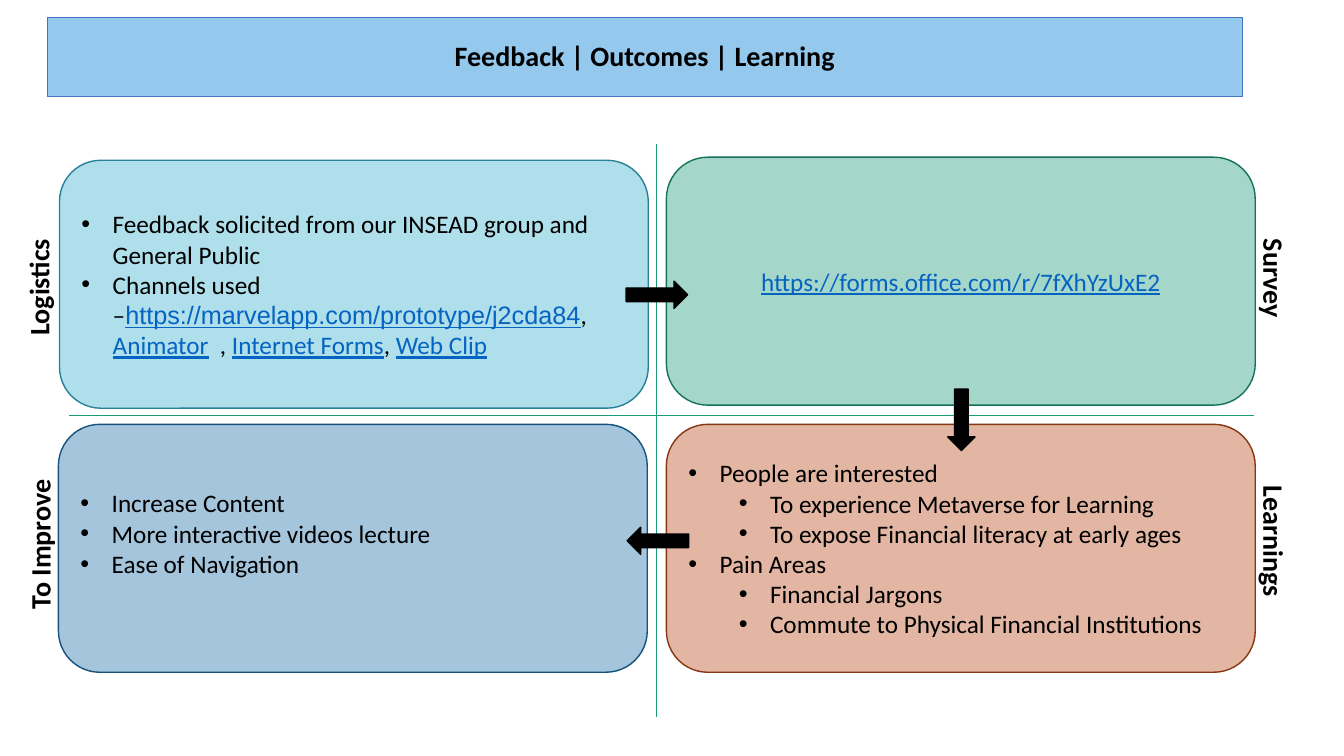
from pptx import Presentation
from pptx.dml.color import RGBColor as Rgb
from pptx.enum.dml import MSO_LINE
from pptx.enum.shapes import MSO_CONNECTOR as Conn, MSO_SHAPE as Shape
from pptx.enum.text import MSO_ANCHOR as Anchor, MSO_AUTO_SIZE as Auto, PP_ALIGN as Align
from pptx.oxml.ns import qn
from pptx.util import Inches, Pt
from lxml.etree import SubElement as Sub

HUES = {
    "ink": "000000", "link": "0563C1", "axis": "1D9A78",
    "bar": "94C8ED", "rim": "4472C4",
    "aqua": "36AFCE", "aqua rim": "288198",
    "green": "1D9A78", "green rim": "157259",
    "rust": "B74919", "rust rim": "873612",
    "blue": "1D6FA9", "blue rim": "15527D",
}
CELL = Inches(0.1)  # side of one grid column and row
WIDE, HIGH = 58.4, 24.6  # panel size in cells


class Board:
    font = "Calibri"
    body, head = 18, 20

    def __init__(self, deck):
        self.slide = deck.slides.add_slide(deck.slide_layouts[5])
        self.shapes = self.slide.shapes

    def grid(self, *cells):
        return [int(n * CELL) for n in cells]

    def hue(self, name):
        return Rgb.from_string(HUES[name])

    def paint(self, shape, fill, rim, width):
        shape.fill.solid()
        shape.fill.fore_color.rgb = self.hue(fill)
        shape.line.color.rgb = self.hue(rim)
        shape.line.width = Pt(width)
        shape.line.dash_style = MSO_LINE.SOLID

    def words(self, para, text, size, bold=False, link=False, face=None):
        run = para.add_run()
        run.text = text
        font = run.font
        font.name, font.size, font.bold = face or self.font, Pt(size), bold
        font.underline = link
        font.color.rgb = self.hue("link" if link else "ink")

    def bullet(self, para, level):
        para.level = level
        props = para._p.get_or_add_pPr()
        props.set("marL", str(Inches(0.31 + 0.5 * level)))
        props.set("indent", str(Inches(-0.31)))
        Sub(props, qn("a:buFont")).set("typeface", "Arial")
        Sub(props, qn("a:buChar")).set("char", "•")

    def title(self, text, *area):
        bar = self.shapes.title
        bar.left, bar.top, bar.width, bar.height = self.grid(*area)
        self.paint(bar, "bar", "rim", 0.75)
        frame = bar.text_frame
        frame.auto_size, frame.vertical_anchor = Auto.NONE, Anchor.MIDDLE
        para = frame.paragraphs[0]
        para.alignment, para.line_spacing = Align.CENTER, 0.9
        self.words(para, text, self.head, bold=True)

    def rule(self, *ends):
        line = self.shapes.add_connector(Conn.STRAIGHT, *self.grid(*ends))
        line.line.color.rgb = self.hue("axis")
        line.line.width = Pt(0.5)
        Sub(line.element.spPr, qn("a:effectLst"))

    def panel(self, left, top, tone, items, foot=0.05):
        box = self.shapes.add_shape(Shape.ROUNDED_RECTANGLE, *self.grid(left, top, WIDE, HIGH))
        box.shadow.inherit = False
        self.paint(box, tone, tone + " rim", 1)
        tint = box.element.spPr.find(qn("a:solidFill")).find(qn("a:srgbClr"))
        Sub(tint, qn("a:alpha")).set("val", "40000")
        frame = box.text_frame
        frame.word_wrap, frame.vertical_anchor = True, Anchor.MIDDLE
        frame.margin_bottom = Inches(foot)
        for i, (level, runs) in enumerate(items):
            para = frame.add_paragraph() if i else frame.paragraphs[0]
            if level is None:
                para.alignment = Align.CENTER
            else:
                para.alignment = Align.LEFT
                self.bullet(para, level)
            for text, *look in runs:
                self.words(para, text, self.body, False, *look)

    def arrow(self, left, top, turn):
        tip = self.shapes.add_shape(Shape.RIGHT_ARROW, *self.grid(left, top, 6.1, 2.7))
        tip.shadow.inherit = False
        tip.rotation = turn
        self.paint(tip, "ink", "ink", 1)

    def label(self, text, left, top, turn):
        box = self.shapes.add_textbox(*self.grid(left, top, 3, 18))
        box.rotation = turn
        frame = box.text_frame
        frame.word_wrap, frame.vertical_anchor = True, Anchor.MIDDLE
        frame._txBody.bodyPr.set("vert", "vert270")
        para = frame.paragraphs[0]
        para.alignment = Align.CENTER
        self.words(para, text, self.head, bold=True)


def plain(level, text):
    return level, [(text,)]


def main():
    deck = Presentation()
    deck.slide_width, deck.slide_height = Inches(13.33), Inches(7.5)
    board = Board(deck)

    # Title bar and cross
    board.title("Feedback | Outcomes | Learning", 4.7, 1.7, 118.5, 7.9)
    board.rule(65.1, 14.3, 65.1, 71.1)
    board.rule(124.4, 41.2, 6.8, 41.2)

    # Four panels
    board.panel(66.1, 15.6, "green", [
        (None, [("https://forms.office.com/r/7fXhYzUxE2", True)]),
    ])
    board.panel(66.1, 42.1, "rust", [
        plain(0, "People are interested"),
        plain(1, "To experience Metaverse for Learning"),
        plain(1, "To expose Financial literacy at early ages"),
        plain(0, "Pain Areas"),
        plain(1, "Financial Jargons"),
        plain(1, "Commute to Physical Financial Institutions"),
    ])
    board.panel(5.8, 42.1, "blue", [
        plain(0, "Increase Content"),
        plain(0, "More interactive videos lecture"),
        plain(0, "Ease of Navigation"),
    ], foot=0.35)
    board.panel(5.9, 15.9, "aqua", [
        plain(0, "Feedback solicited from our INSEAD group and General Public"),
        (0, [
            ("Channels used –",),
            ("https://marvelapp.com/prototype/j2cda84", True, "Arial"),
            (", ",),
            ("Animator", True),
            ("  , ",),
            ("Internet Forms", True),
            (", ",),
            ("Web Clip", True),
        ]),
    ])

    # Arrows from panel to panel
    for spot in ((62.1, 27.9, 0), (92.3, 40.3, 90), (62.2, 52.3, 180)):
        board.arrow(*spot)

    # Side labels
    board.label("Logistics", 2.3, 19.5, 0)
    board.label("To Improve", 2.4, 45, 0)
    board.label("Survey", 124.9, 18.6, 180)
    board.label("Learnings", 124.9, 44.7, 180)

    deck.save("out.pptx")


if __name__ == "__main__":
    main()
